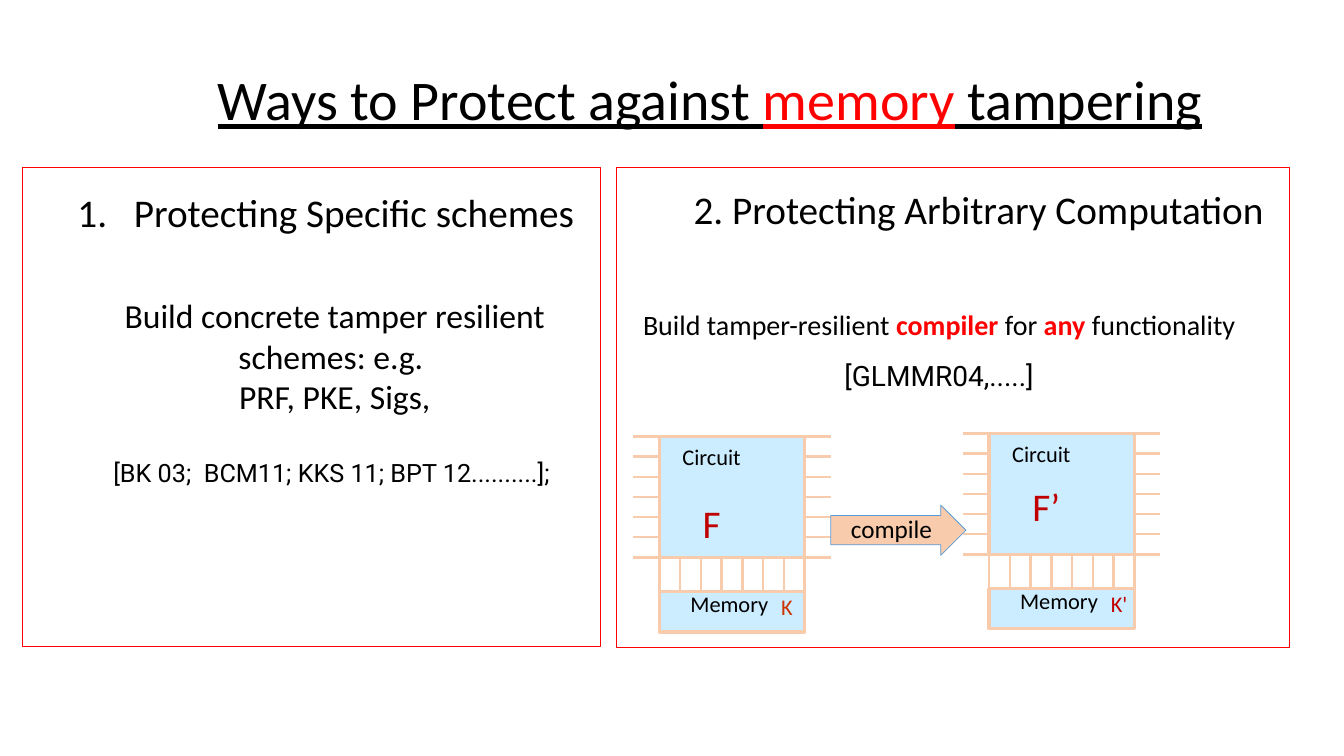
from dataclasses import dataclass

from lxml import etree
from pptx import Presentation
from pptx import util as u
from pptx.dml.color import RGBColor
from pptx.enum import shapes as es, text as et
from pptx.oxml import ns


@dataclass(frozen=True)
class Theme:
    """Colours, fonts and type sizes of the slide."""
    ink: str = "000000"
    red: str = "FF0000"
    dark_red: str = "C00000"
    rust: str = "CC3300"
    sky: str = "CCECFF"
    peach: str = "F8CBAD"
    blue: str = "5B9BD5"
    font: str = "Calibri"
    cite_font: str = "Roboto"
    title: int = 40
    heading: int = 28
    body: int = 24
    claim: int = 20
    note: int = 18
    label: int = 16


def add_run(p, content, size, color, font, bold=False, underline=False):
    """Append a formatted run to a paragraph."""
    r = p.add_run()
    r.text = content
    r.font.size = u.Pt(size)
    r.font.name = font
    r.font.bold = bold
    r.font.underline = underline
    r.font.color.rgb = RGBColor.from_string(color)


class SlideBuilder:
    """Draws themed elements on the current slide."""

    def __init__(self, slide, theme):
        self.theme = theme
        self.slide = slide
        self.shapes = slide.shapes

    def text(self, x, y, w, h, *paragraphs, size, center=False, wrap=True, middle=False):
        """Add a text box whose paragraphs are lists of (text, format) runs."""
        tf = self.shapes.add_textbox(*map(u.Inches, (x, y, w, h))).text_frame
        tf.word_wrap = wrap
        if middle:
            tf.vertical_anchor = et.MSO_ANCHOR.MIDDLE
        for i, runs in enumerate(paragraphs):
            p = tf.paragraphs[0] if i == 0 else tf.add_paragraph()
            p.alignment = et.PP_ALIGN.CENTER if center else et.PP_ALIGN.LEFT
            for content, fmt in runs:
                base = dict(size=size, color=self.theme.ink, font=self.theme.font)
                add_run(p, content, **(base | fmt))
        return tf.paragraphs

    def number(self, p, indent):
        """Give a paragraph automatic numbering with a hanging indent."""
        pPr = p._p.get_or_add_pPr()
        pPr.set("marL", str(u.Inches(indent)))
        pPr.set("indent", str(-u.Inches(indent)))
        etree.SubElement(pPr, ns.qn("a:buFont"), typeface="+mj-lt")
        etree.SubElement(pPr, ns.qn("a:buAutoNum"), type="arabicPeriod")

    def shape(self, x, y, w, h, line, weight, fill=None, kind=es.MSO_SHAPE.RECTANGLE):
        """Add a preset shape with an outline and an optional fill."""
        sp = self.shapes.add_shape(kind, *map(u.Inches, (x, y, w, h)))
        sp.shadow.inherit = False
        if fill:
            sp.fill.solid()
            sp.fill.fore_color.rgb = RGBColor.from_string(fill)
        else:
            sp.fill.background()
        sp.line.color.rgb = RGBColor.from_string(line)
        sp.line.width = u.Pt(weight)
        return sp

    def wire(self, x1, y1, x2, y2):
        """Add a straight circuit wire."""
        cx = self.shapes.add_connector(
            es.MSO_CONNECTOR.STRAIGHT, *map(u.Inches, (x1, y1, x2, y2)))
        cx.line.color.rgb = RGBColor.from_string(self.theme.peach)
        cx.line.width = u.Pt(1.75)
        etree.SubElement(cx._element.spPr, ns.qn("a:effectLst"))

    def circuit(self, x, y):
        """Add a grouped circuit with pins, a bus and a memory block."""
        t = self.theme
        width, height, memory_top, pin = 1.44, 1.2, 1.54, 0.26
        self.shapes = self.slide.shapes.add_group_shape().shapes
        self.shape(x, y, width, height, t.peach, 2.25, t.sky)
        self.shape(x, y + memory_top, width, 0.4, t.peach, 2.25, t.sky)
        for left in (x + width, x - pin):
            for i in range(7):
                pin_y = y + i * height / 6
                self.wire(left, pin_y, left + pin, pin_y)
        for i in range(8):
            bus_x = x + i * width / 7
            self.wire(bus_x, y + height, bus_x, y + memory_top)
        self.text(x + 0.21, y + 1.48, 1.13, 0.4, [("Memory", {})], size=t.label)
        self.text(x + 0.13, y + 0.02, 0.98, 0.4, [("Circuit", {})], size=t.label)
        self.shapes = self.slide.shapes


def main():
    """Build and save the slide."""
    prs = Presentation()
    prs.slide_width, prs.slide_height = u.Inches(13.33), u.Inches(7.5)
    t = Theme()
    s = SlideBuilder(prs.slides.add_slide(prs.slide_layouts[6]), t)

    line = {"underline": True}
    title = s.text(2.06, 0.82, 10.21, 0.4,
                   [("Ways to Protect against ", line),
                    ("memory", line | {"color": t.red}),
                    (" tampering", line)],
                   size=t.title, middle=True)
    title[0].line_spacing = 0.9

    s.shape(0.22, 1.66, 5.74, 4.75, t.red, 0.75)
    s.shape(6.11, 1.66, 6.68, 4.76, t.red, 0.75)

    schemes = s.text(0.5, 1.87, 5.46, 1.09, [("Protecting Specific schemes", {})],
                     size=t.heading, center=True)
    schemes[0].line_spacing = 0.9
    s.number(schemes[0], 0.56)
    s.text(6.76, 1.79, 5.89, 1.04, [("2. Protecting Arbitrary Computation", {})],
           size=t.heading, center=True)

    cite = {"font": t.cite_font}
    examples = s.text(0.91, 2.88, 4.82, 2.02,
                      [("Build concrete tamper resilient schemes: e.g. ", {})],
                      [("PRF, PKE, Sigs,", {})],
                      [("[BK 03;  BCM11; KKS 11; BPT 12..........]; ",
                        cite | {"size": t.note})],
                      size=t.body, center=True)
    examples[2].space_before = u.Pt(29)

    strong = {"color": t.red, "bold": True}
    claim = s.text(6.15, 3.06, 6.33, 0.89,
                   [("Build tamper-resilient ", {}), ("compiler ", strong), ("for ", {}),
                    ("any ", strong), ("functionality", {})],
                   [("[GLMMR04,.....]", cite)],
                   size=t.claim, center=True)
    claim[0].line_spacing = u.Pt(20)
    claim[1].line_spacing = 1.5

    for x, y, name, name_y, key, key_color in (
            (6.54, 4.33, "F", 4.9, "K", t.rust),
            (9.81, 4.3, "F’", 4.74, "K'", t.dark_red)):
        s.circuit(x, y)
        s.text(x + 0.33, name_y, 0.6, 0.57, [(name, {"color": t.dark_red})], size=t.heading)
        s.text(x + 1.11, y + 1.51, 0.46, 0.37, [(key, {"color": key_color})], size=t.label)

    arrow = s.shape(8.24, 5.01, 1.34, 0.5, t.blue, 0.5, t.peach, es.MSO_SHAPE.RIGHT_ARROW)
    arrow.adjustments[0] = 0.58
    arrow.adjustments[1] = 0.5
    s.text(8.34, 5.04, 1.02, 0.4, [("compile", {})], size=t.note, wrap=False)

    prs.save("out.pptx")


if __name__ == "__main__":
    main()
